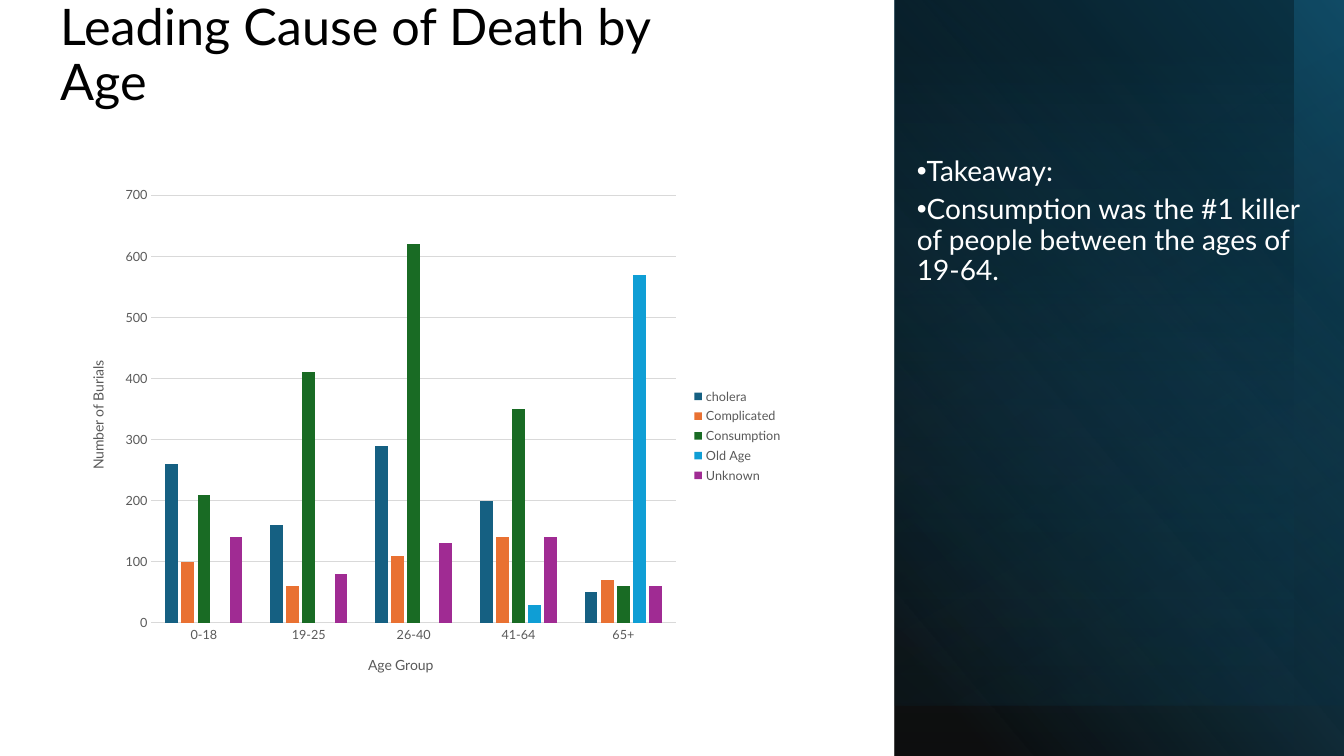
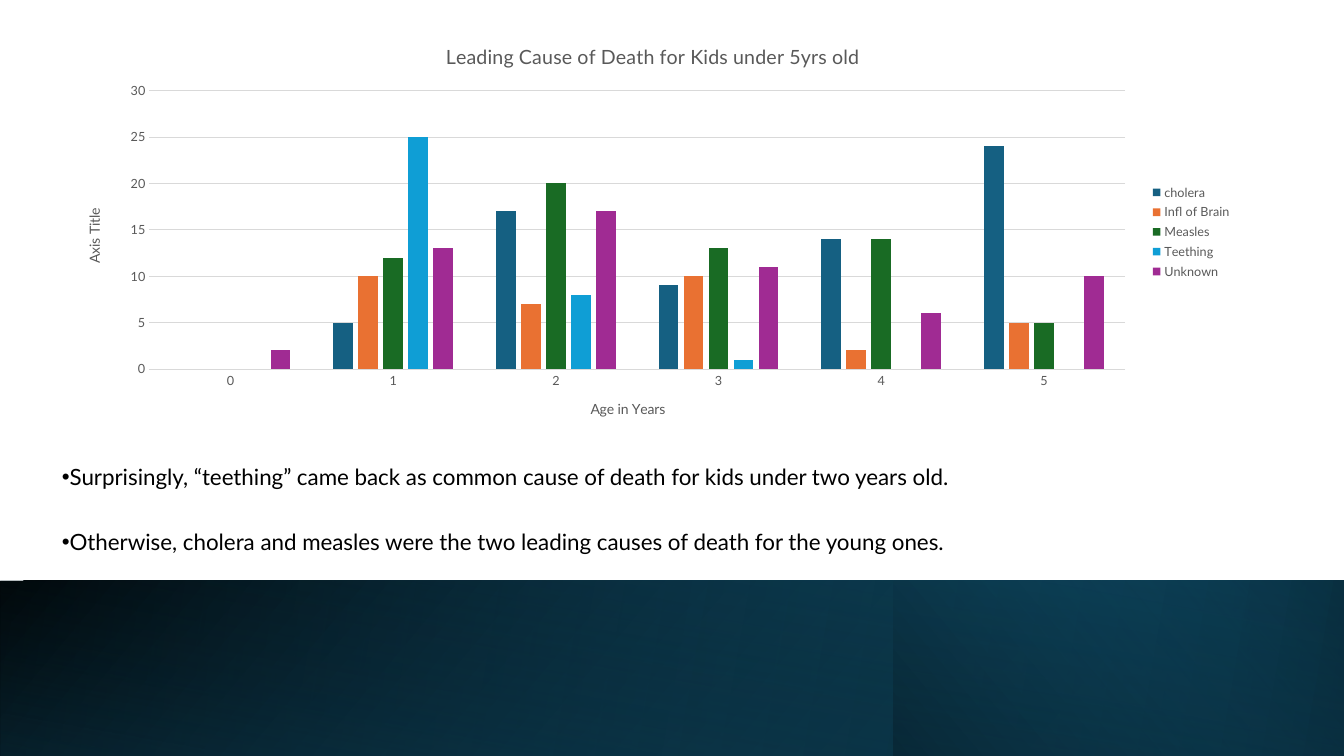
from lxml.etree import SubElement
from pptx import Presentation
from pptx.chart.data import CategoryChartData
from pptx.dml.color import RGBColor
from pptx.enum.chart import XL_CHART_TYPE, XL_LEGEND_POSITION, XL_TICK_MARK
from pptx.enum.shapes import MSO_SHAPE
from pptx.enum.text import MSO_ANCHOR, MSO_AUTO_SIZE, PP_ALIGN
from pptx.oxml.ns import qn
from pptx.util import Pt

WIDTH, HEIGHT = 1344, 756
PX = 12192000 / WIDTH
FONT = "Lato"

BLACK = RGBColor(0x00, 0x00, 0x00)
WHITE = RGBColor(0xFF, 0xFF, 0xFF)
GRAY = RGBColor(0x59, 0x59, 0x59)
GRID = RGBColor(0xD9, 0xD9, 0xD9)
NAVY = RGBColor(0x0B, 0x30, 0x41)
BLUE = RGBColor(0x15, 0x60, 0x82)
ORANGE = RGBColor(0xE9, 0x71, 0x32)
GREEN = RGBColor(0x19, 0x6B, 0x24)
SKY = RGBColor(0x0F, 0x9E, 0xD5)
PURPLE = RGBColor(0xA0, 0x2B, 0x93)
SERIES_COLORS = [BLUE, ORANGE, GREEN, SKY, PURPLE]

PANEL_LEFT = 895
PANEL_WIDTH = WIDTH - PANEL_LEFT
BAND_TOP = 581
BAND_HEIGHT = HEIGHT - BAND_TOP
BAND = (0, BAND_TOP, WIDTH, BAND_HEIGHT)

# A layer is: box, gradient stops (position %, color, opacity %), angle, rotation, flipped.
PAGES = [
    {
        "title": "Leading Cause of Death by Age",
        "layers": [
            ((PANEL_LEFT, 0, PANEL_WIDTH, HEIGHT), [(8, BLACK, 94), (100, BLUE, 100)], 40, 180, True),
            ((PANEL_LEFT, 0, PANEL_WIDTH, 706), [(31, NAVY, 0), (100, NAVY, 26)], 300, 180, True),
            ((PANEL_LEFT, 0, PANEL_WIDTH, 706), [(0, BLUE, 0), (72, BLACK, 21)], 50, 180, True),
            ((PANEL_LEFT, 0, 398, HEIGHT), [(0, BLUE, 0), (93, BLACK, 29)], 90, 180, True),
        ],
        "chart_box": (68, 177, 725, 518),
        "chart_title": None,
        "axis_titles": ("Age Group", "Number of Burials"),
        "categories": ["0-18", "19-25", "26-40", "41-64", "65+"],
        "series": {
            "cholera": [260, 160, 290, 200, 50],
            "Complicated": [100, 60, 110, 140, 70],
            "Consumption": [210, 410, 620, 350, 60],
            "Old Age": [None, None, None, 30, 570],
            "Unknown": [140, 80, 130, 140, 60],
        },
        "bullet_box": (907, 152, 427, 465),
        "bullets": [
            "Takeaway:",
            "Consumption was the #1 killer of people between the ages of 19-64.",
        ],
        "bullet_style": (20, WHITE, 6, MSO_ANCHOR.TOP),
    },
    {
        "title": None,
        "layers": [
            (BAND, [(0, BLACK, 100), (100, BLUE, 100)], 140, 0, True),
            (BAND, [(0, BLUE, 0), (100, NAVY, 100)], 170, 0, True),
            ((894, BAND_TOP, WIDTH - 894, BAND_HEIGHT), [(0, NAVY, 100), (100, BLUE, 0)], 220, 0, True),
            (BAND, [(0, BLACK, 0), (99, NAVY, 55)], 280, 180, False),
        ],
        "chart_box": (64, 25, 1178, 414),
        "chart_title": "Leading Cause of Death for Kids under 5yrs old",
        "axis_titles": ("Age in Years", "Axis Title"),
        "categories": ["0", "1", "2", "3", "4", "5"],
        "series": {
            "cholera": [None, 5, 17, 9, 14, 24],
            "Infl of Brain": [None, 10, 7, 10, 2, 5],
            "Measles": [None, 12, 20, 13, 14, 5],
            "Teething": [None, 25, 8, 1, None, None],
            "Unknown": [2, 13, 17, 11, 6, 10],
        },
        "bullet_box": (52, 449, 918, 123),
        "bullets": [
            "Surprisingly, “teething” came back as common cause of death for kids under two years old.",
            "Otherwise, cholera and measles were the two leading causes of death for the young ones.",
        ],
        "bullet_style": (16, BLACK, 29, MSO_ANCHOR.MIDDLE),
    },
]


def emu(box):
    """Turn lengths in px into EMU."""
    return [round(length * PX) for length in box]


def style_font(font, size, color, bold=False):
    font.name = FONT
    font.size = Pt(size)
    font.bold = bold
    font.color.rgb = color


deck = Presentation()
deck.slide_width, deck.slide_height = emu((WIDTH, HEIGHT))

for page in PAGES:
    slide = deck.slides.add_slide(deck.slide_layouts[5 if page["title"] else 6])

    if page["title"]:
        title = slide.shapes.title
        title.left, title.top, title.width, title.height = emu((50, 5, 661, 111))
        frame = title.text_frame
        frame.text = page["title"]
        frame.auto_size = MSO_AUTO_SIZE.NONE
        frame.vertical_anchor = MSO_ANCHOR.BOTTOM
        para = frame.paragraphs[0]
        para.alignment = PP_ALIGN.LEFT
        para.line_spacing = 0.9
        style_font(para.runs[0].font, 36, BLACK)

    for box, stops, angle, rotation, flipped in page["layers"]:
        layer = slide.shapes.add_shape(MSO_SHAPE.RECTANGLE, *emu(box))
        layer.shadow.inherit = False
        layer.line.fill.background()
        layer.rotation = rotation
        properties = layer._element.spPr
        if flipped:
            properties.find(qn("a:xfrm")).set("flipH", "1")
        layer.fill.gradient()
        gradient = properties.find(qn("a:gradFill"))
        for child in list(gradient):
            gradient.remove(child)
        stop_list = SubElement(gradient, qn("a:gsLst"))
        for position, color, opacity in stops:
            stop = SubElement(stop_list, qn("a:gs"), pos=str(position * 1000))
            stop_color = SubElement(stop, qn("a:srgbClr"), val=str(color))
            if opacity < 100:
                SubElement(stop_color, qn("a:alpha"), val=str(opacity * 1000))
        SubElement(gradient, qn("a:lin"), ang=str(angle * 60000), scaled="0")

    data = CategoryChartData()
    data.categories = page["categories"]
    for name, values in page["series"].items():
        data.add_series(name, values)
    chart = slide.shapes.add_chart(
        XL_CHART_TYPE.COLUMN_CLUSTERED, *emu(page["chart_box"]), data).chart
    style_font(chart.font, 10, BLACK)
    chart.has_title = page["chart_title"] is not None
    if chart.has_title:
        heading = chart.chart_title.text_frame
        heading.text = page["chart_title"]
        style_font(heading.paragraphs[0].runs[0].font, 14, GRAY)

    chart.has_legend = True
    chart.legend.position = XL_LEGEND_POSITION.RIGHT
    chart.legend.include_in_layout = False
    style_font(chart.legend.font, 9, GRAY)

    for axis, axis_title in zip((chart.category_axis, chart.value_axis), page["axis_titles"]):
        axis.major_tick_mark = axis.minor_tick_mark = XL_TICK_MARK.NONE
        style_font(axis.tick_labels.font, 9, GRAY)
        heading = axis.axis_title.text_frame
        heading.text = axis_title
        style_font(heading.paragraphs[0].runs[0].font, 10, GRAY)
    heading._txBody.bodyPr.set("rot", "-5400000")
    chart.value_axis.format.line.fill.background()
    for line in (chart.category_axis.format.line, chart.value_axis.major_gridlines.format.line):
        line.color.rgb = GRID
        line.width = Pt(0.75)

    plot = chart.plots[0]
    plot.gap_width = 219
    plot.overlap = -27
    plot.vary_by_categories = False
    for series, color in zip(plot.series, SERIES_COLORS):
        series.format.fill.solid()
        series.format.fill.fore_color.rgb = color

    size, color, gap, anchor = page["bullet_style"]
    frame = slide.shapes.add_textbox(*emu(page["bullet_box"])).text_frame
    frame.word_wrap = True
    frame.vertical_anchor = anchor
    frame.text = "\n".join(page["bullets"])
    for para in frame.paragraphs:
        para.line_spacing = 0.9
        para.space_after = Pt(gap if para.text != page["bullets"][-1] else 6)
        style_font(para.runs[0].font, size, color)
        bullet = para._p.get_or_add_pPr()
        bullet.set("marL", "0")
        bullet.set("indent", "-228600")
        SubElement(bullet, qn("a:buFont"), typeface="Arial")
        SubElement(bullet, qn("a:buChar"), char="•")

deck.save("out.pptx")
